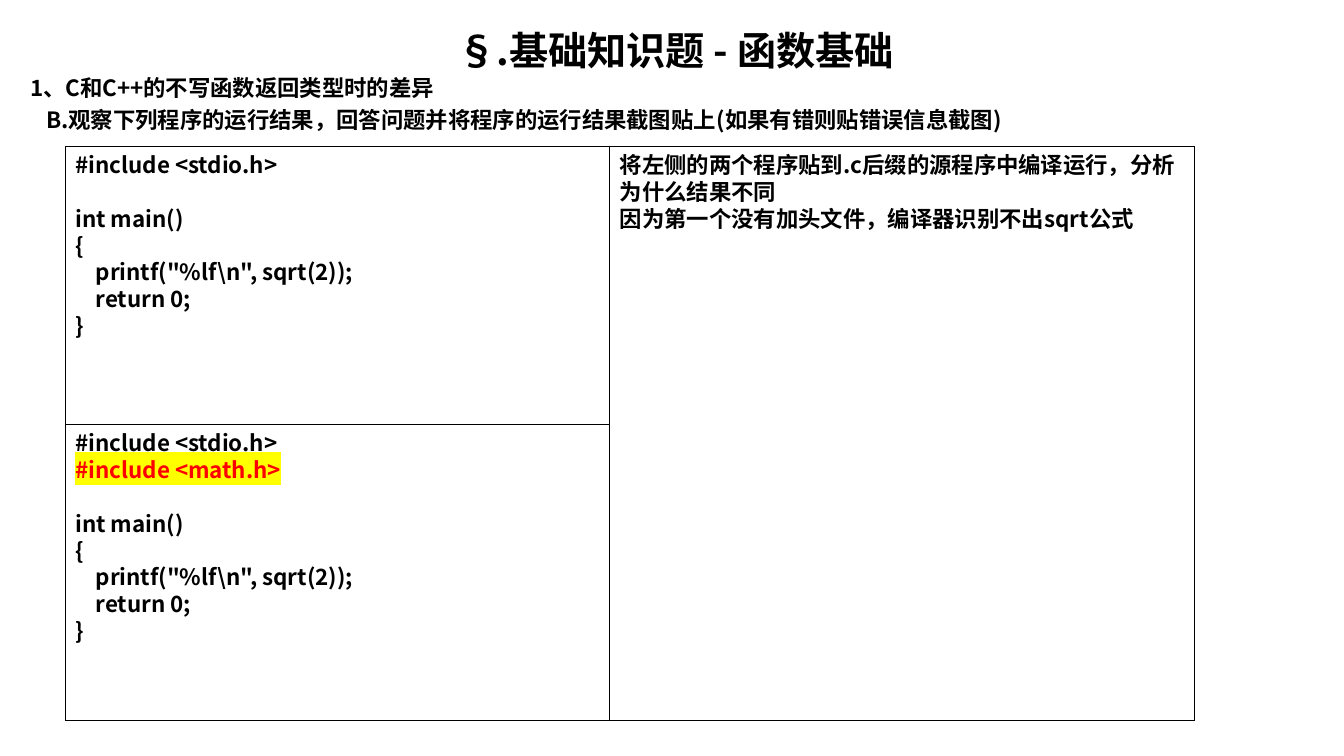
from dataclasses import dataclass

from lxml.etree import SubElement
from pptx import Presentation
from pptx.dml.color import RGBColor as Color
from pptx.enum.shapes import MSO_SHAPE as Shape
from pptx.enum.text import MSO_ANCHOR as Anchor, PP_ALIGN as Align
from pptx.oxml.ns import qn
from pptx.util import Inches, Pt


@dataclass(frozen=True)
class Theme:
    """Colours, type sizes and grid of the slide."""
    font: str = "Noto Sans CJK SC"
    ink: str = "000000"
    alert: str = "FF0000"
    marker: str = "FFFF00"
    title_size: float = 28
    body_size: float = 16
    leading: float = 1.2
    outline: float = 0.75
    cell: float = 0.05


class Page:
    """Draws styled elements on one slide, measured in grid columns and rows."""

    def __init__(self, deck, theme):
        """Add a title-only slide to the deck."""
        self.theme = theme
        self.slide = deck.slides.add_slide(deck.slide_layouts[5])

    def area(self, *cells):
        """Turn grid columns and rows into lengths."""
        return [Inches(count * self.theme.cell) for count in cells]

    def style(self, para, size, color, marker=None):
        """Format the line pitch and every run of a paragraph."""
        para.line_spacing = Pt(size * self.theme.leading)
        for span in para.runs:
            span.font.size = Pt(size)
            span.font.bold = True
            span.font.color.rgb = Color.from_string(color)
            properties = span.font._element
            if marker:
                highlight = SubElement(properties, qn("a:highlight"))
                SubElement(highlight, qn("a:srgbClr"), val=marker)
            span.font.name = self.theme.font
            SubElement(properties, qn("a:ea"), typeface=self.theme.font)

    def fill_text(self, frame, lines, marked=()):
        """Fill a frame with body lines, turning empty lines into spacing."""
        theme = self.theme
        frame.word_wrap = True
        frame.vertical_anchor = Anchor.TOP
        frame.text = "\n".join(line for line in lines if line)
        filled = [number for number, line in enumerate(lines) if line]
        for para, number in zip(frame.paragraphs, filled):
            para.alignment = Align.LEFT
            if number and not lines[number - 1]:
                para.space_before = Pt(theme.body_size * theme.leading)
            if para.text in marked:
                self.style(para, theme.body_size, theme.alert, theme.marker)
            else:
                self.style(para, theme.body_size, theme.ink)

    def title(self, text, *cells):
        """Place the centred title."""
        box = self.slide.shapes.title
        box.left, box.top, box.width, box.height = self.area(*cells)
        frame = box.text_frame
        frame.text = text
        frame.vertical_anchor = Anchor.TOP
        frame.paragraphs[0].alignment = Align.CENTER
        self.style(frame.paragraphs[0], self.theme.title_size, self.theme.ink)

    def question(self, heading, task, *cells):
        """Place the numbered heading with its indented task."""
        box = self.slide.shapes.add_textbox(*self.area(*cells))
        self.fill_text(box.text_frame, [heading, task])
        para = box.text_frame.paragraphs[1]
        para.space_before = Pt(3.6)
        para._p.get_or_add_pPr().set("marL", str(Inches(0.16)))

    def panel(self, lines, *cells, marked=()):
        """Place an outlined panel of text."""
        box = self.slide.shapes.add_shape(Shape.RECTANGLE, *self.area(*cells))
        box.shadow.inherit = False
        box.fill.background()
        box.line.color.rgb = Color.from_string(self.theme.ink)
        box.line.width = Pt(self.theme.outline)
        self.fill_text(box.text_frame, lines, marked)


def main():
    """Build and save the slide."""
    deck = Presentation()
    deck.slide_width, deck.slide_height = Inches(13.33), Inches(7.5)
    page = Page(deck, Theme())

    stdio, math = "#include <stdio.h>", "#include <math.h>"
    body = ["", "int main()", "{", '    printf("%lf\\n", sqrt(2));',
            "    return 0;", "}"]
    answer = ["将左侧的两个程序贴到.c后缀的源程序中编译运行，分析为什么结果不同",
              "因为第一个没有加头文件，编译器识别不出sqrt公式"]

    left, middle, right = 13, 121, 237
    top, split, bottom = 29, 84.2, 143

    page.title("§.基础知识题 - 函数基础", 4, 4.2, 260, 11)
    page.question("1、C和C++的不写函数返回类型时的差异",
                  "B.观察下列程序的运行结果，回答问题并将程序的运行结果截图贴上(如果有错则贴错误信息截图)",
                  4, 13.8, 260, 14)
    page.panel([stdio, *body], left, top, right - left, bottom - top)
    page.panel(answer, middle, top, right - middle, bottom - top)
    page.panel([stdio, math, *body], left, split, middle - left, bottom - split,
               marked=[math])
    deck.save("out.pptx")


if __name__ == "__main__":
    main()
